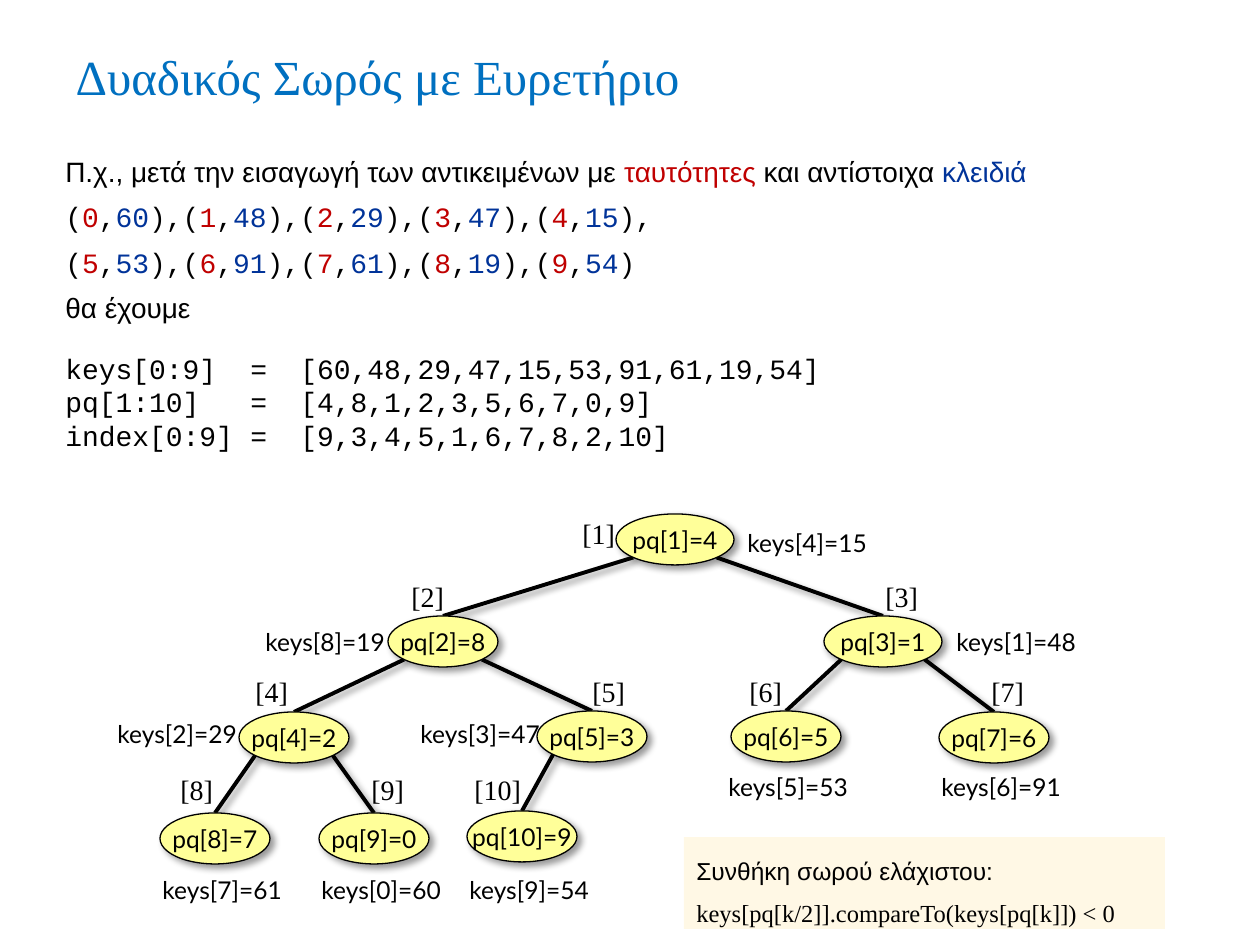
"""Builds a slide on an indexed binary heap, with its arrays and its tree."""
import math

import pptx
import pptx.dml.color
import pptx.enum.shapes
import pptx.enum.text
import pptx.oxml
import pptx.oxml.ns
import pptx.util

EMU_PER_PX = 914400 // 126
BLACK, RED, BLUE = "000000", "C00000", "003399"
SANS, SERIF, MONO, LABEL = "Arial", "Times New Roman", "Courier New", "Lato"

TITLE = "Δυαδικός Σωρός με Ευρετήριο"
KEYS = [60, 48, 29, 47, 15, 53, 91, 61, 19, 54]
PQ = [4, 8, 1, 2, 3, 5, 6, 7, 0, 9]
INDEX = [9, 3, 4, 5, 1, 6, 7, 8, 2, 10]
ARRAYS = [("keys[0:9]", KEYS), ("pq[1:10]", PQ), ("index[0:9]", INDEX)]
ARRAY_TABS = (185, 235)
INTRO = [
    ("Π.χ., μετά την εισαγωγή των αντικειμένων με ", BLACK),
    ("ταυτότητες", RED),
    (" και αντίστοιχα ", BLACK),
    ("κλειδιά", BLUE),
]
OUTRO = "θα έχουμε"
CONDITION = [
    ("Συνθήκη σωρού ελάχιστου:", SANS),
    ("keys[pq[k/2]].compareTo(keys[pq[k]]) < 0", SERIF),
]

NODE_HEIGHT = 51
NODES = [
    {"left": 616, "top": 514, "width": 118, "key": (735, 522), "slot": (570, 510)},
    {"left": 388, "top": 616, "width": 110, "key": (253, 621), "slot": (399, 573)},
    {"left": 824, "top": 616, "width": 118, "key": (944, 621), "slot": (873, 573)},
    {"left": 239, "top": 712, "width": 110, "key": (105, 713), "slot": (243, 668)},
    {"left": 537, "top": 711, "width": 110, "key": (408, 713), "slot": (580, 668)},
    {"left": 731, "top": 711, "width": 110, "key": (716, 766), "slot": (737, 668)},
    {"left": 939, "top": 712, "width": 110, "key": (929, 766), "slot": (979, 668)},
    {"left": 160, "top": 813, "width": 110, "key": (150, 869), "slot": (168, 766)},
    {"left": 319, "top": 813, "width": 110, "key": (309, 869), "slot": (359, 766)},
    {"left": 467, "top": 811, "width": 110, "key": (457, 869), "slot": (462, 766)},
]


def px(value):
    return pptx.util.Emu(round(value * EMU_PER_PX))


def rgb(color):
    return pptx.dml.color.RGBColor.from_string(color)


def add_run(p, text, size, font, color=BLACK):
    r = p.add_run()
    r.text = text
    r.font.size = pptx.util.Pt(size)
    r.font.name = font
    r.font.color.rgb = rgb(color)


def add_paragraph(tf, spacing=None):
    p = tf.paragraphs[0]
    if p.runs:
        p = tf.add_paragraph()
    if spacing:
        p.line_spacing = pptx.util.Pt(spacing)
    return p


def add_text_box(shapes, left, top, width, height, wrap=True):
    tf = shapes.add_textbox(px(left), px(top), px(width), px(height)).text_frame
    tf.word_wrap = wrap
    return tf


def add_label(shapes, position, width, height, text, size, font):
    tf = add_text_box(shapes, *position, width, height, wrap=False)
    add_run(add_paragraph(tf), text, size, font)


def add_shadow(sp):
    ns = pptx.oxml.ns.nsdecls("a")
    sp._element.spPr.append(pptx.oxml.parse_xml(
        f'<a:effectLst {ns}><a:outerShdw blurRad="50800" dist="38100" dir="2700000" '
        'algn="tl" rotWithShape="0"><a:srgbClr val="000000"><a:alpha val="40000"/>'
        '</a:srgbClr></a:outerShdw></a:effectLst>'))


def add_title(s):
    sp = s.shapes.title
    sp.left, sp.top, sp.width, sp.height = px(63), px(38), px(1134), px(67)
    tf = sp.text_frame
    tf.vertical_anchor = pptx.enum.text.MSO_ANCHOR.BOTTOM
    tf.margin_bottom = 0
    p = add_paragraph(tf)
    p.alignment = pptx.enum.text.PP_ALIGN.LEFT
    add_run(p, TITLE, 28, SERIF, "0070C0")


def add_intro(s):
    tf = add_text_box(s.shapes, 53, 136, 1155, 193)
    p = add_paragraph(tf, 26)
    for text, color in INTRO:
        add_run(p, text, 16, SANS, color)
    half = len(KEYS) // 2
    for start in (0, half):
        p = add_paragraph(tf, 26)
        for item in range(start, start + half):
            add_run(p, "(" if item == start else "),(", 16, MONO)
            add_run(p, str(item), 16, MONO, RED)
            add_run(p, ",", 16, MONO)
            add_run(p, str(KEYS[item]), 16, MONO, BLUE)
        add_run(p, ")," if start == 0 else ")", 16, MONO)
    add_run(add_paragraph(tf, 26), OUTRO, 16, SANS)


def add_arrays(s):
    tf = add_text_box(s.shapes, 53, 345, 1018, 115)
    stops = "".join(f'<a:tab pos="{px(x)}" algn="l"/>' for x in ARRAY_TABS)
    for name, values in ARRAYS:
        p = add_paragraph(tf)
        p._p.get_or_add_pPr().append(pptx.oxml.parse_xml(
            f'<a:tabLst {pptx.oxml.ns.nsdecls("a")}>{stops}</a:tabLst>'))
        add_run(p, f"{name}\t=\t[{','.join(map(str, values))}]", 16, MONO)


def add_edge(shapes, parent, child, side):
    reach = math.sqrt(0.5)
    line = shapes.add_connector(
        pptx.enum.shapes.MSO_CONNECTOR.STRAIGHT,
        px(child["left"] + child["width"] / 2), px(child["top"]),
        px(parent["left"] + parent["width"] / 2 * (1 + side * reach)),
        px(parent["top"] + NODE_HEIGHT / 2 * (1 + reach)))
    line.line.color.rgb = rgb(BLACK)
    line.line.width = pptx.util.Pt(2.25)
    add_shadow(line)


def add_node(shapes, node, text):
    sp = shapes.add_shape(pptx.enum.shapes.MSO_SHAPE.OVAL, px(node["left"]),
                          px(node["top"]), px(node["width"]), px(NODE_HEIGHT))
    sp.fill.solid()
    sp.fill.fore_color.rgb = rgb("FFFF99")
    sp.line.color.rgb = rgb(BLACK)
    sp.line.width = pptx.util.Pt(0.75)
    add_shadow(sp)
    tf = sp.text_frame
    tf.word_wrap = False
    tf.vertical_anchor = pptx.enum.text.MSO_ANCHOR.MIDDLE
    p = add_paragraph(tf)
    p.alignment = pptx.enum.text.PP_ALIGN.CENTER
    add_run(p, text, 14, LABEL)


def add_tree(s):
    tree = s.shapes.add_group_shape().shapes
    for k in range(2, len(NODES) + 1):
        add_edge(tree, NODES[k // 2 - 1], NODES[k - 1], 1 if k % 2 else -1)
    for k, (node, item) in enumerate(zip(NODES, PQ), 1):
        add_node(tree, node, f"pq[{k}]={item}")
        add_label(tree, node["key"], 145, 43, f"keys[{item}]={KEYS[item]}", 14, LABEL)
        add_label(s.shapes, node["slot"], 77 if k > 9 else 60, 47, f"[{k}]", 16, SERIF)


def add_condition(s):
    sp = s.shapes.add_shape(pptx.enum.shapes.MSO_SHAPE.RECTANGLE,
                            px(684), px(837), px(481), px(92))
    sp.shadow.inherit = False
    sp.fill.solid()
    sp.fill.fore_color.rgb = rgb("FFC000")
    color = sp.fill._xPr.find(".//" + pptx.oxml.ns.qn("a:srgbClr"))
    color.append(pptx.oxml.parse_xml(
        f'<a:alpha {pptx.oxml.ns.nsdecls("a")} val="10000"/>'))
    sp.line.fill.background()
    tf = sp.text_frame
    tf.word_wrap = True
    tf.vertical_anchor = pptx.enum.text.MSO_ANCHOR.TOP
    for text, font in CONDITION:
        p = add_paragraph(tf, 24)
        p.alignment = pptx.enum.text.PP_ALIGN.LEFT
        add_run(p, text, 14, font)


def main():
    prs = pptx.Presentation()
    prs.slide_width, prs.slide_height = px(1260), px(945)
    s = prs.slides.add_slide(prs.slide_layouts[5])
    add_title(s)
    add_intro(s)
    add_arrays(s)
    add_tree(s)
    add_condition(s)
    prs.save("out.pptx")


if __name__ == "__main__":
    main()
